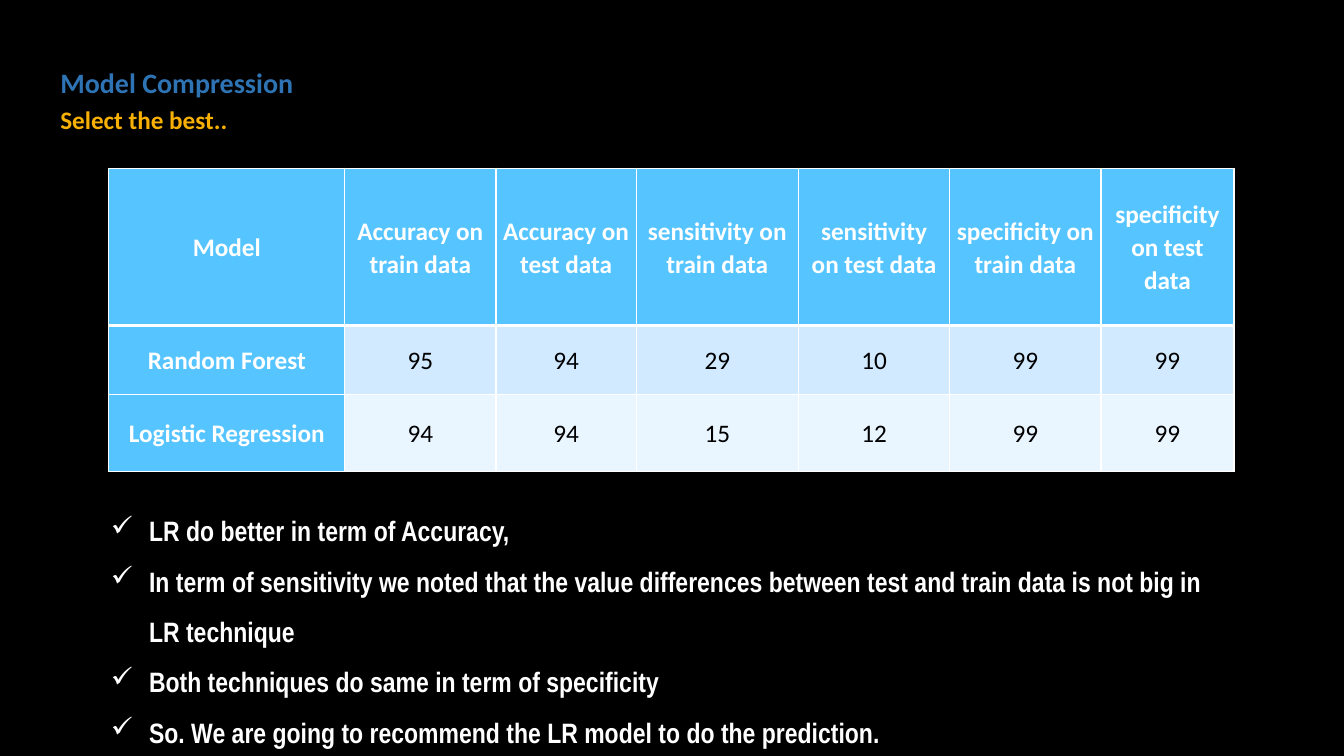
import pptx
import pptx.dml.color
import pptx.enum.text
import pptx.oxml
import pptx.oxml.ns
import pptx.util

RGBColor = pptx.dml.color.RGBColor
BLACK = RGBColor(0x00, 0x00, 0x00)
WHITE = RGBColor(0xFF, 0xFF, 0xFF)
TITLE_BLUE = RGBColor(0x2E, 0x74, 0xB5)
AMBER = RGBColor(0xF8, 0xB0, 0x04)
HEADER_BLUE = RGBColor(0x56, 0xC5, 0xFF)
BANDS = [RGBColor(0xD1, 0xEA, 0xFF), RGBColor(0xE9, 0xF5, 0xFF)]

# Content
HEADINGS = [("Model Compression", 20, TITLE_BLUE), ("Select the best..", 18, AMBER)]
RESULTS = [
    ("Model", "Accuracy on train data", "Accuracy on test data",
     "sensitivity on train data", "sensitivity on test data",
     "specificity on train data", "specificity on test data"),
    ("Random Forest", 95, 94, 29, 10, 99, 99),
    ("Logistic Regression", 94, 94, 15, 12, 99, 99),
]
FINDINGS = [
    "LR do better in term of Accuracy,",
    "In term of sensitivity we noted that the value differences between "
    "test and train data is not big in LR technique",
    "Both techniques do same in term of specificity",
    "So. We are going to recommend the LR model to do the prediction.",
]

# Layout in px, 100 px to the inch
SCALE = 9144
SLIDE_SIZE = (1333, 750)
HEADING_BOX = (50, 58, 666, 81)
TABLE_BOX = (108, 167, 1117, 300)
FINDINGS_BOX = (100, 488, 1125, 212)
COLUMN_WIDTHS = [234, 150, 139, 161, 150, 150, 132]
ROW_HEIGHTS = [156, 68, 77]
CELL_MARGIN = 7
BULLET_INDENT = 38
THIN, THICK = 1, 3


def px(length):
    return pptx.util.Emu(length * SCALE)


def set_values(target, values):
    for name, value in values.items():
        setattr(target, name, value)


def write(paragraph, text, size, color, bold=True, font="Calibri", **layout):
    run = paragraph.add_run()
    run.text = str(text)
    set_values(run.font, {"name": font, "size": pptx.util.Pt(size), "bold": bold})
    run.font.color.rgb = color
    set_values(paragraph, layout)


def add_text_frame(slide, box):
    frame = slide.shapes.add_textbox(*map(px, box)).text_frame
    set_values(frame, {"word_wrap": True,
                       "auto_size": pptx.enum.text.MSO_AUTO_SIZE.SHAPE_TO_FIT_TEXT})
    return frame


def next_paragraph(frame, index):
    return frame.add_paragraph() if index else frame.paragraphs[0]


def add_bullet(paragraph):
    properties = paragraph._p.get_or_add_pPr()
    properties.set("marL", str(px(BULLET_INDENT)))
    properties.set("indent", str(px(-BULLET_INDENT)))
    properties.append(pptx.oxml.parse_xml(
        f'<a:buChar {pptx.oxml.ns.nsdecls("a")} char="✓"/>'))


def add_borders(cell, widths):
    properties = cell._tc.get_or_add_tcPr()
    for position, (side, width) in enumerate(widths.items()):
        properties.insert(position, pptx.oxml.parse_xml(
            f'<a:ln{side} {pptx.oxml.ns.nsdecls("a")} w="{pptx.util.Pt(width)}">'
            f'<a:solidFill><a:srgbClr val="{WHITE}"/></a:solidFill></a:ln{side}>'))


def add_headings(slide):
    frame = add_text_frame(slide, HEADING_BOX)
    for index, (text, size, color) in enumerate(HEADINGS):
        write(next_paragraph(frame, index), text, size, color,
              line_spacing=1.07, space_before=pptx.util.Pt(2))


def add_results(slide):
    table = slide.shapes.add_table(
        len(ROW_HEIGHTS), len(COLUMN_WIDTHS), *map(px, TABLE_BOX)).table
    for column, width in zip(table.columns, COLUMN_WIDTHS):
        column.width = px(width)
    for row, height in zip(table.rows, ROW_HEIGHTS):
        row.height = px(height)
    for r, values in enumerate(RESULTS):
        for c, value in enumerate(values):
            cell = table.cell(r, c)
            is_header = r == 0 or c == 0
            set_values(cell, {
                "margin_left": px(CELL_MARGIN), "margin_right": px(CELL_MARGIN),
                "margin_top": 0, "margin_bottom": 0,
                "vertical_anchor": pptx.enum.text.MSO_ANCHOR.MIDDLE})
            cell.fill.solid()
            cell.fill.fore_color.rgb = HEADER_BLUE if is_header else BANDS[r - 1]
            add_borders(cell, {"L": THIN, "R": THIN,
                               "T": THICK if r == 1 else THIN,
                               "B": THICK if r == 0 else THIN})
            write(cell.text_frame.paragraphs[0], value, 18,
                  WHITE if is_header else BLACK, bold=is_header,
                  line_spacing=1.07, alignment=pptx.enum.text.PP_ALIGN.CENTER)


def add_findings(slide):
    frame = add_text_frame(slide, FINDINGS_BOX)
    for index, text in enumerate(FINDINGS):
        paragraph = next_paragraph(frame, index)
        write(paragraph, text, 20, WHITE, font="Arial Narrow", line_spacing=1.5)
        add_bullet(paragraph)


def main():
    presentation = pptx.Presentation()
    presentation.slide_width, presentation.slide_height = map(px, SLIDE_SIZE)
    slide = presentation.slides.add_slide(presentation.slide_layouts[6])
    slide.background.fill.solid()
    slide.background.fill.fore_color.rgb = BLACK
    add_headings(slide)
    add_results(slide)
    add_findings(slide)
    presentation.save("out.pptx")


if __name__ == "__main__":
    main()
